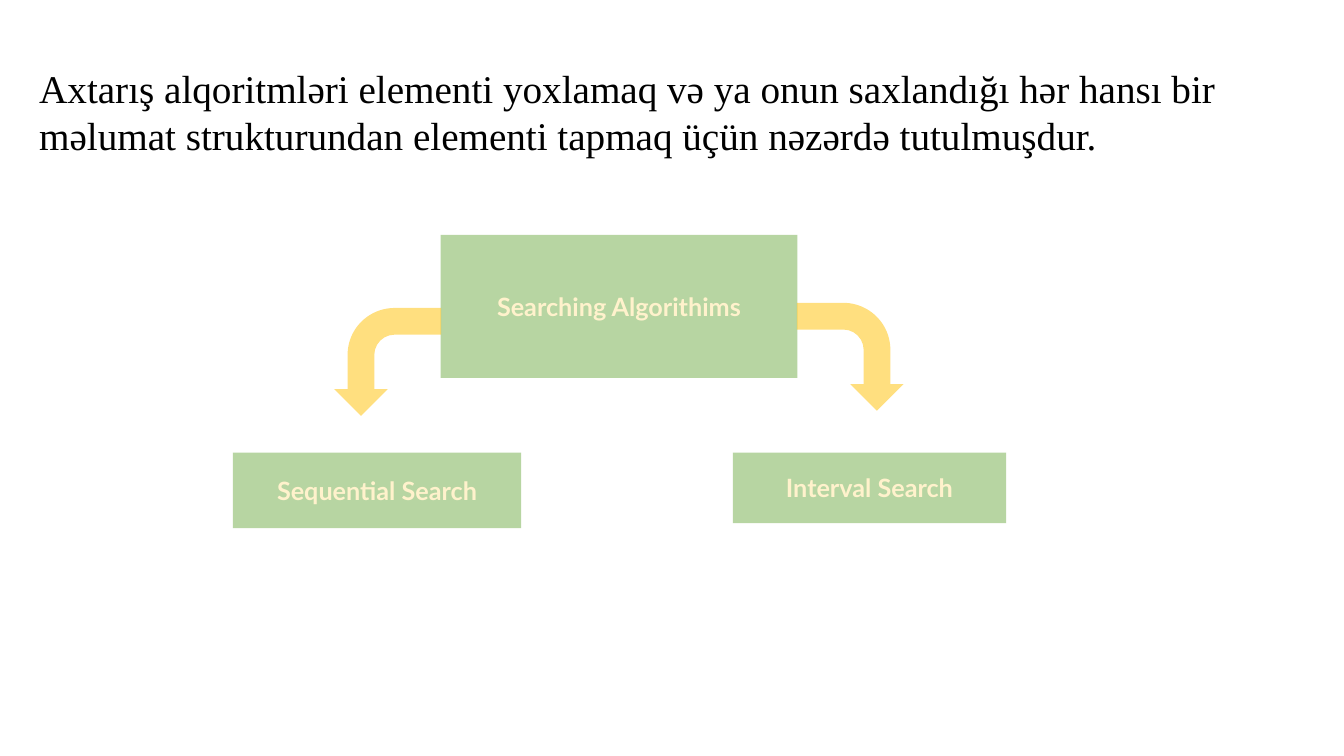
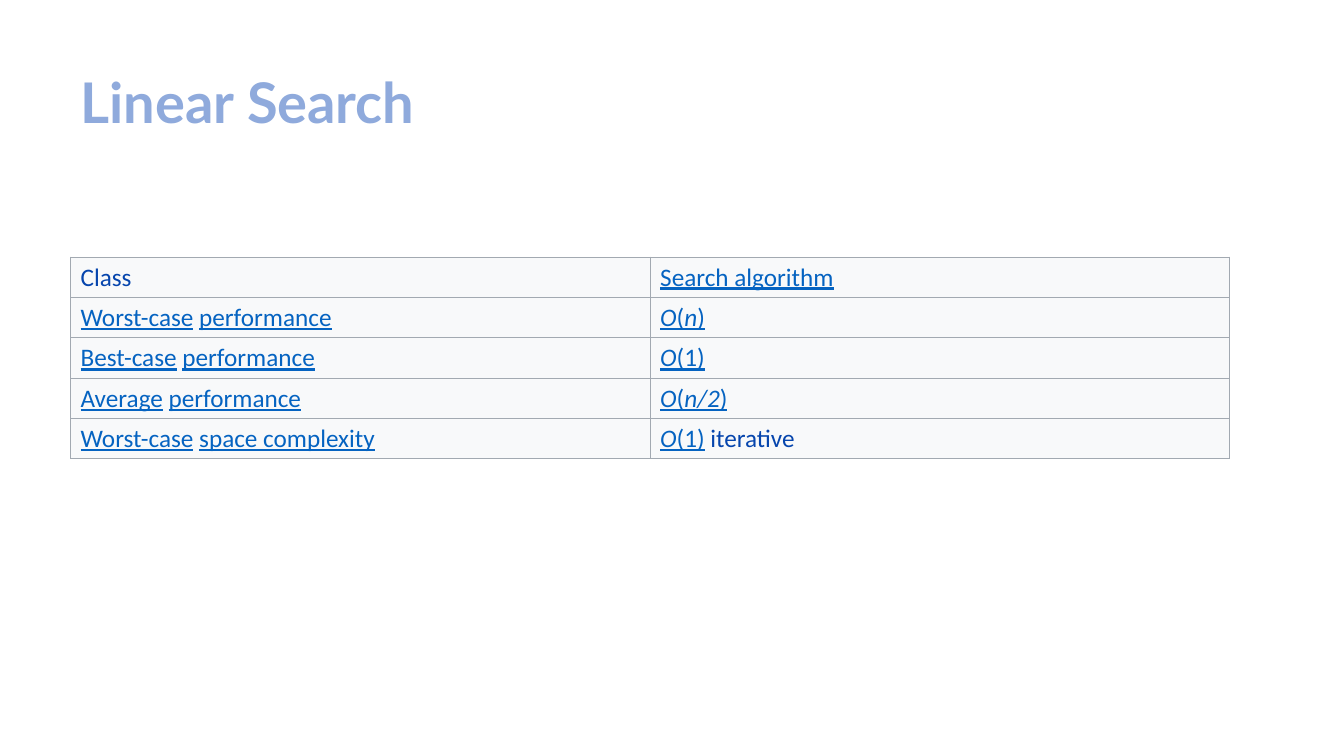
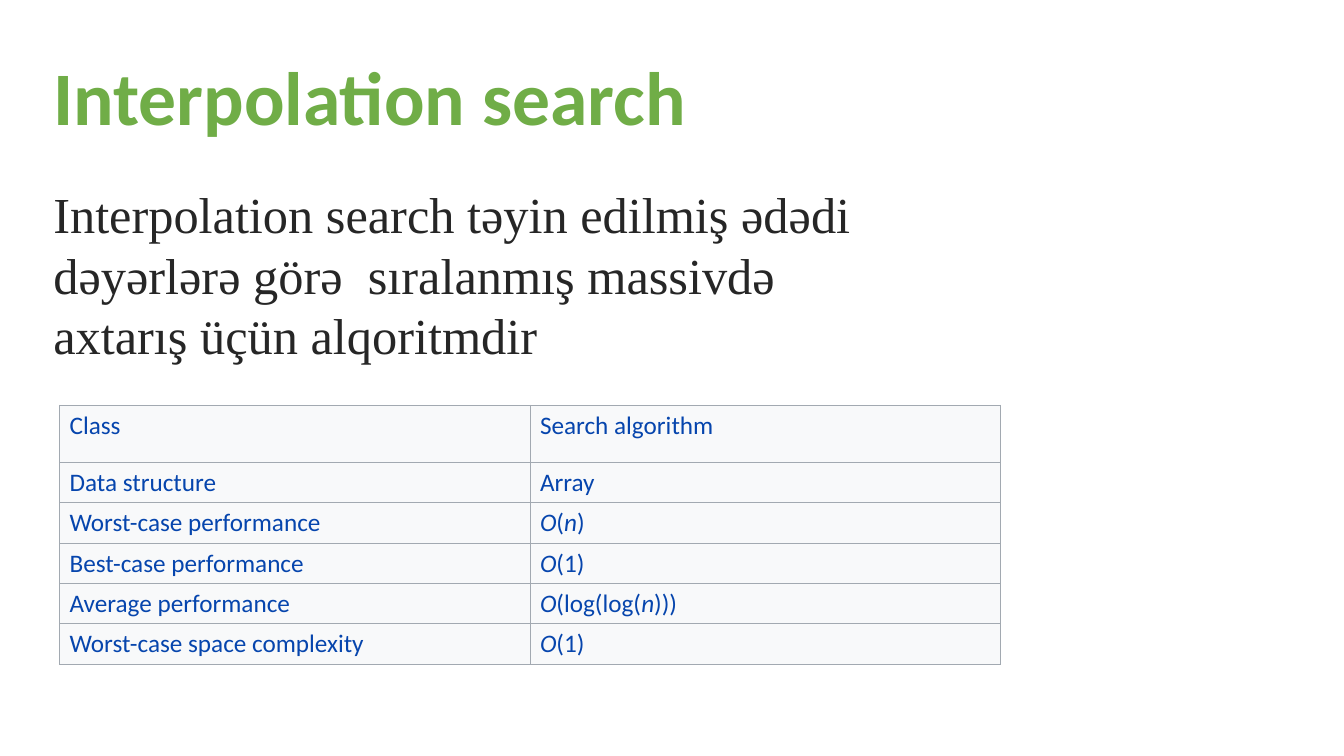
"""Build three slides about searching algorithms."""
from dataclasses import dataclass
from typing import Any, NamedTuple

from lxml import etree
from pptx import Presentation
from pptx import util as u
from pptx.dml.color import RGBColor
from pptx.enum import shapes, text
from pptx.oxml.ns import qn


@dataclass(frozen=True)
class Theme:
    """Colours, fonts and type sizes shared by the slides."""
    black: str = "000000"
    charcoal: str = "262626"
    green: str = "70AD47"
    amber: str = "FFC000"
    cream: str = "FFF2CC"
    sky: str = "8FAADC"
    navy: str = "0645AD"
    link: str = "0563C1"
    cell: str = "F8F9FA"
    border: str = "A2A9B1"
    serif: str = "Times New Roman"
    sans: str = "Calibri"
    display: str = "Lato"
    body_size: int = 18
    lead_size: int = 28
    text_size: int = 36
    title_size: int = 40
    large_title_size: int = 54
    border_width: float = 0.6
    opacity: int = 50


class Box(NamedTuple):
    """A place on the slide, in percent of its width and height."""
    left: float
    top: float
    width: float
    height: float


class Style(NamedTuple):
    """The look of a run of text."""
    font: str
    size: int
    colour: str
    bold: bool = False
    italic: bool = False
    underline: bool = False


class Run(NamedTuple):
    """A piece of text in one style."""
    text: str
    style: Style


class Node(NamedTuple):
    """A labelled box of the diagram."""
    label: str
    box: Box
    kind: Any


class BentArrow(NamedTuple):
    """A turned arrow of the diagram."""
    box: Box
    mirrored: bool


Cell = list[Run]
THEME = Theme()
WIDTH, HEIGHT = u.Inches(13.333), u.Inches(7.5)

LEAD = Style(THEME.serif, THEME.lead_size, THEME.black)
DEFINITION = Style(THEME.serif, THEME.text_size, THEME.charcoal)
LABEL = Style(THEME.display, THEME.body_size, THEME.cream, bold=True)
LINEAR_TITLE = Style(THEME.display, THEME.title_size, THEME.sky, bold=True)
INTERPOLATION_TITLE = Style(THEME.sans, THEME.large_title_size, THEME.green, bold=True)
PLAIN = Style(THEME.sans, THEME.body_size, THEME.navy)
LINK = PLAIN._replace(colour=THEME.link, underline=True)
GAP = PLAIN._replace(colour=THEME.black)

NODES = [
    Node("Searching Algorithims", Box(32.78, 31.07, 26.55, 18.93),
         shapes.MSO_SHAPE.RECTANGLE),
    Node("Sequential Search", Box(17.33, 59.87, 21.45, 10),
         shapes.MSO_SHAPE.FLOWCHART_PROCESS),
    Node("Interval Search", Box(54.53, 59.87, 20.33, 9.33),
         shapes.MSO_SHAPE.FLOWCHART_PROCESS),
]
ARROWS = [
    BentArrow(Box(24.83, 40.8, 8.03, 14.13), mirrored=True),
    BentArrow(Box(59.25, 40.13, 8.03, 14.13), mirrored=False),
]


def place(box: Box) -> tuple[int, int, int, int]:
    """Turn percentages into lengths."""
    return (round(WIDTH * box.left / 100), round(HEIGHT * box.top / 100),
            round(WIDTH * box.width / 100), round(HEIGHT * box.height / 100))


def formula(style: Style, *parts: str) -> Cell:
    """Set parts alternately in italic and upright type."""
    return [Run(part, style._replace(italic=index % 2 == 0))
            for index, part in enumerate(parts)]


def linked(first: str, second: str) -> Cell:
    """Join two underlined phrases with a plain space."""
    return [Run(first, LINK), Run("\u00a0", GAP), Run(second, LINK)]


def plain(words: str) -> Cell:
    """Make a cell of unadorned text."""
    return [Run(words, PLAIN)]


def write(frame: Any, runs: Cell, **paragraph_format: Any) -> None:
    """Write styled runs into the first paragraph of a frame."""
    paragraph = frame.paragraphs[0]
    for name, value in paragraph_format.items():
        setattr(paragraph, name, value)
    for item in runs:
        run = paragraph.add_run()
        run.text = item.text
        style = item.style
        values = {"name": style.font, "size": u.Pt(style.size), "bold": style.bold,
                  "italic": style.italic, "underline": style.underline}
        for name, value in values.items():
            setattr(run.font, name, value)
        run.font.color.rgb = RGBColor.from_string(style.colour)


def fill_text(shape: Any, run: Run) -> None:
    """Write a left-aligned wrapped text that starts at the top."""
    values = {"word_wrap": True, "auto_size": text.MSO_AUTO_SIZE.SHAPE_TO_FIT_TEXT,
              "vertical_anchor": text.MSO_ANCHOR.TOP}
    for name, value in values.items():
        setattr(shape.text_frame, name, value)
    write(shape.text_frame, [run], alignment=text.PP_ALIGN.LEFT)


def add_text(slide: Any, box: Box, run: Run) -> None:
    """Add a text box."""
    fill_text(slide.shapes.add_textbox(*place(box)), run)


def set_title(slide: Any, box: Box, run: Run) -> None:
    """Move and format the title placeholder."""
    title = slide.shapes.title
    for name, value in zip(("left", "top", "width", "height"), place(box)):
        setattr(title, name, value)
    fill_text(title, run)


def add_translucent(slide: Any, kind: Any, box: Box, colour: str) -> Any:
    """Add a half-transparent shape without outline or shadow."""
    shape = slide.shapes.add_shape(kind, *place(box))
    shape.shadow.inherit = False
    shape.line.fill.background()
    shape.fill.solid()
    shape.fill.fore_color.rgb = RGBColor.from_string(colour)
    tint = shape._element.spPr.find(f"{qn('a:solidFill')}/{qn('a:srgbClr')}")
    etree.SubElement(tint, qn("a:alpha"), val=str(THEME.opacity * 1000))
    return shape


def add_node(slide: Any, node: Node) -> None:
    """Draw a labelled box."""
    shape = add_translucent(slide, node.kind, node.box, THEME.green)
    shape.text_frame.word_wrap = True
    shape.text_frame.vertical_anchor = text.MSO_ANCHOR.MIDDLE
    write(shape.text_frame, [Run(node.label, LABEL)], alignment=text.PP_ALIGN.CENTER)


def add_bent_arrow(slide: Any, arrow: BentArrow) -> None:
    """Draw an arrow that bends downwards."""
    shape = add_translucent(slide, shapes.MSO_SHAPE.BENT_ARROW, arrow.box, THEME.amber)
    for index, value in enumerate((0.25, 0.25, 0.25, 0.44)):
        shape.adjustments[index] = value
    shape.rotation = 90
    if arrow.mirrored:
        shape._element.spPr.xfrm.set("flipV", "1")


def format_cell(cell: Any) -> None:
    """Give a cell its borders and fill."""
    properties = cell._tc.get_or_add_tcPr()
    for side in ("lnL", "lnR", "lnT", "lnB"):
        line = etree.SubElement(properties, qn(f"a:{side}"),
                                w=str(u.Pt(THEME.border_width)))
        solid = etree.SubElement(line, qn("a:solidFill"))
        etree.SubElement(solid, qn("a:srgbClr"), val=THEME.border)
    cell.fill.solid()
    cell.fill.fore_color.rgb = RGBColor.from_string(THEME.cell)


def add_facts(slide: Any, box: Box, rows: list[tuple[Cell, Cell]],
              header_share: float) -> None:
    """Add a two-column table; the first row takes a share of its height."""
    frame = slide.shapes.add_table(len(rows), 2, *place(box))
    table = frame.table
    table.first_row = table.horz_banding = False
    height = place(box)[3]
    header = round(height * header_share)
    for index, cells in enumerate(rows):
        table.rows[index].height = (
            header if index == 0 else round((height - header) / (len(rows) - 1)))
        for column, runs in enumerate(cells):
            cell = table.cell(index, column)
            format_cell(cell)
            write(cell.text_frame, runs)


def build_overview(slide: Any) -> None:
    """Show the two families of searching algorithms."""
    add_text(slide, Box(2.18, 7.87, 93.68, 13.87), Run(
        "Axtarış alqoritmləri elementi yoxlamaq və ya onun saxlandığı hər hansı bir "
        "məlumat strukturundan elementi tapmaq üçün nəzərdə tutulmuşdur.", LEAD))
    for node in NODES:
        add_node(slide, node)
    for arrow in ARROWS:
        add_bent_arrow(slide, arrow)


def build_linear(slide: Any) -> None:
    """Show the facts of linear search."""
    set_title(slide, Box(5.25, 8.27, 50.03, 10.27), Run("Linear Search", LINEAR_TITLE))
    rows = [
        (plain("Class"), [Run("Search algorithm", LINK)]),
        (linked("Worst-case", "performance"), formula(LINK, "O", "(", "n", ")")),
        (linked("Best-case", "performance"), formula(LINK, "O", "(1)")),
        (linked("Average", "performance"), formula(LINK, "O", "(", "n/2", ")")),
        (linked("Worst-case", "space complexity"),
         formula(LINK, "O", "(1)") + plain("\u00a0iterative")),
    ]
    add_facts(slide, Box(5.25, 34, 86.25, 26.67), rows, header_share=0.2)


def build_interpolation(slide: Any) -> None:
    """Show the definition and facts of interpolation search."""
    set_title(slide, Box(3.23, 5.87, 50.1, 13.47),
              Run("Interpolation search", INTERPOLATION_TITLE))
    add_text(slide, Box(3.23, 23.6, 63.75, 25.6), Run(
        "Interpolation search təyin edilmiş ədədi dəyərlərə görə  sıralanmış "
        "massivdə axtarış üçün alqoritmdir", DEFINITION))
    rows = [
        (plain("Class"), plain("Search algorithm")),
        (plain("Data structure"), plain("Array")),
        (plain("Worst-case\u00a0performance"), formula(PLAIN, "O", "(", "n", ")")),
        (plain("Best-case performance"), formula(PLAIN, "O", "(1)")),
        (plain("Average\u00a0performance"),
         formula(PLAIN, "O", "(log(log(", "n", ")))")),
        (plain("Worst-case\u00a0space complexity"), formula(PLAIN, "O", "(1)")),
    ]
    add_facts(slide, Box(4.43, 53.6, 70, 34.27), rows, header_share=0.22)


def main() -> None:
    """Build and save the presentation."""
    presentation = Presentation()
    presentation.slide_width, presentation.slide_height = WIDTH, HEIGHT
    title_only, blank = (presentation.slide_layouts.get_by_name(name)
                         for name in ("Title Only", "Blank"))
    for layout, build in ((blank, build_overview), (title_only, build_linear),
                          (title_only, build_interpolation)):
        build(presentation.slides.add_slide(layout))
    presentation.save("out.pptx")


main()
